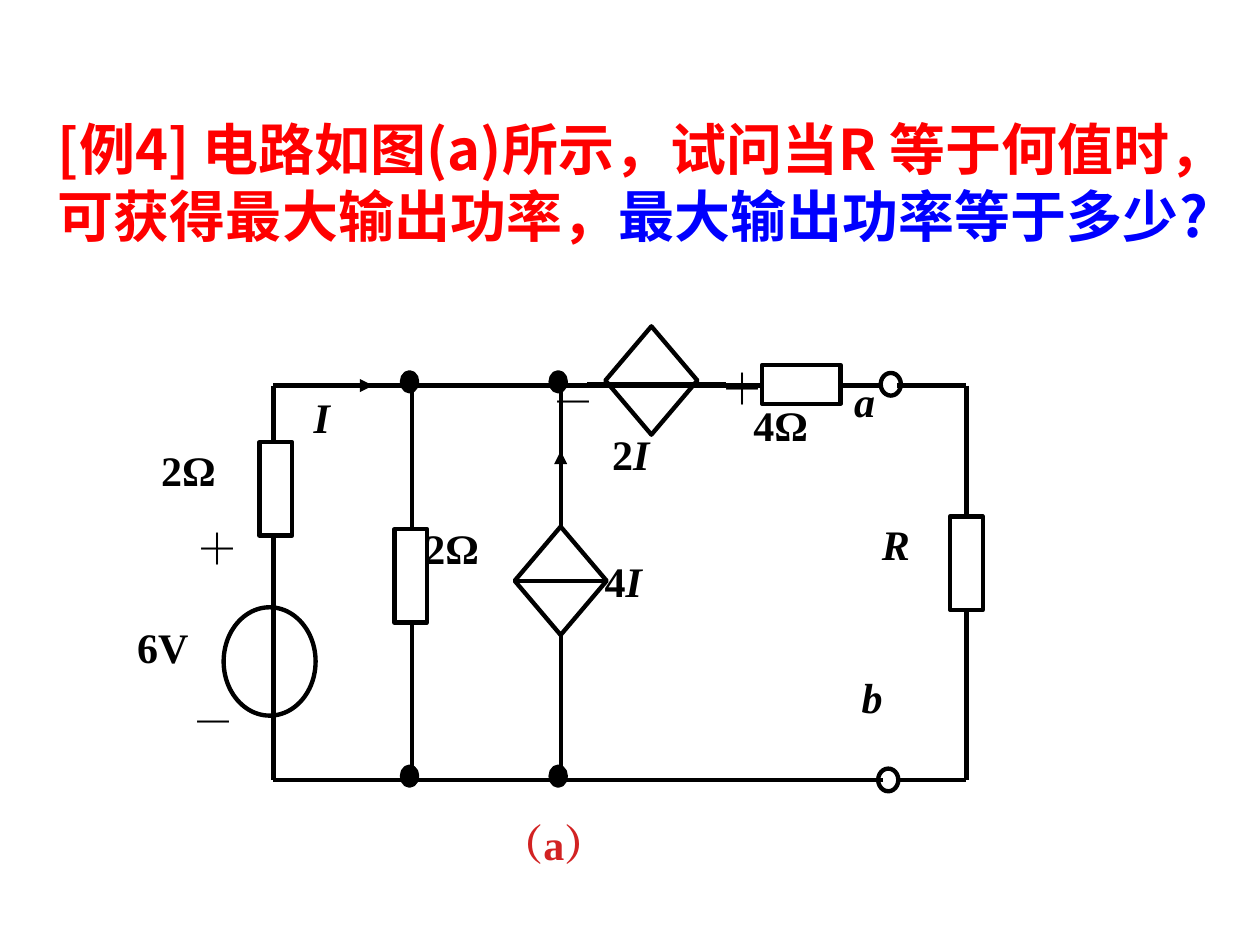
from lxml import etree
from pptx import Presentation
from pptx.dml.color import RGBColor
from pptx.enum.shapes import MSO_CONNECTOR, MSO_SHAPE
from pptx.enum.text import MSO_ANCHOR, MSO_AUTO_SIZE, PP_ALIGN
from pptx.oxml.ns import qn
from pptx.util import Inches, Pt

OVAL, RECT, DIAMOND = MSO_SHAPE.OVAL, MSO_SHAPE.RECTANGLE, MSO_SHAPE.FLOWCHART_DECISION
STRAIGHT = MSO_CONNECTOR.STRAIGHT
LEFT, JUSTIFY = PP_ALIGN.LEFT, PP_ALIGN.JUSTIFY
TOP, NO_FIT = MSO_ANCHOR.TOP, MSO_AUTO_SIZE.NONE
color = RGBColor.from_string
BLACK, WHITE, RED, BLUE, CRIMSON = "000000", "FFFFFF", "FF0000", "0000FF", "D22222"
SERIF, SANS = "Times New Roman", "Noto Sans CJK SC"

deck = Presentation()
deck.slide_width, deck.slide_height = Inches(10), Inches(7.5)
CELL = deck.slide_width // 1000
slide = deck.slides.add_slide(deck.slide_layouts[5])


def write(box, grid, runs, align, size, face):
    box.left, box.top, box.width, box.height = [n * CELL for n in grid]
    frame = box.text_frame
    for key, value in {"word_wrap": True, "auto_size": NO_FIT, "vertical_anchor": TOP}.items():
        setattr(frame, key, value)
    paragraph = frame.paragraphs[0]
    paragraph.alignment = align
    for text, ink, italic in runs:
        run = paragraph.add_run()
        run.text = text
        for key, value in {"name": face, "size": Pt(size), "bold": True, "italic": italic}.items():
            setattr(run.font, key, value)
        run.font.color.rgb = color(ink)
        etree.SubElement(run._r.get_or_add_rPr(), qn("a:ea"), typeface=face)


def wire(x1, y1, x2, y2, arrow=False):
    line = slide.shapes.add_connector(STRAIGHT, *[n * CELL for n in (x1, y1, x2, y2)])
    line.line.color.rgb = color(BLACK)
    line.line.width = Pt(2.5)
    if arrow:
        etree.SubElement(line.line._get_or_add_ln(), qn("a:tailEnd"), type="triangle")
    etree.SubElement(line._element.spPr, qn("a:effectLst"))
    return line


write(slide.shapes.title, (36, 86, 917, 170),
      [("[例4] 电路如图(a)所示，试问当R 等于何值时，可获得最大输出功率，", RED, False),
       ("最大输出功率等于多少?", BLUE, False)], LEFT, 32, SANS)

SOURCE_X, SHUNT_X, CONTROLLED_X, GAP_LEFT, GAP_RIGHT, LOAD_X = 217, 327, 445, 701, 712, 767
RAIL_TOP, RAIL_BOTTOM = 306, 619

terminals = [(OVAL, 705, 619, 16, 18, WHITE), (OVAL, 707, 305, 16, 18, WHITE)]
nodes = [(OVAL, x, y, 12, 15, BLACK) for x in (325, 443) for y in (303, 616)]
resistors = [(RECT, 219, 388, 26, 74, WHITE), (RECT, 326, 457, 26, 74, WHITE),
             (RECT, 636, 305, 62, 31, WHITE), (RECT, 767, 447, 26, 74, WHITE)]
sources = [(OVAL, 214, 525, 73, 86, None), (DIAMOND, 517, 302, 73, 86, None),
           (DIAMOND, CONTROLLED_X, 461, 73, 86, WHITE)]
wires = [(SHUNT_X, RAIL_TOP, SHUNT_X, RAIL_BOTTOM), (CONTROLLED_X, 303, CONTROLLED_X, 616),
         (SOURCE_X, RAIL_TOP, SOURCE_X, RAIL_BOTTOM), (SOURCE_X, 456, SOURCE_X, 612),
         (LOAD_X, RAIL_TOP, LOAD_X, RAIL_BOTTOM), (576, 305, 466, 305)]
for rail in (RAIL_TOP, RAIL_BOTTOM):
    wires += [(GAP_LEFT, rail, SOURCE_X, rail), (GAP_RIGHT, rail, LOAD_X, rail)]

for layer in (terminals + nodes, wires, resistors + sources):
    for part in layer:
        if layer is wires:
            wire(*part)
            continue
        preset, x, y, w, h, paint = part
        symbol = slide.shapes.add_shape(
            preset, *[int(n * CELL) for n in (x - w / 2, y - h / 2, w, h)])
        symbol.shadow.inherit = False
        symbol.line.color.rgb = color(BLACK)
        symbol.line.width = Pt(2.5)
        if paint:
            symbol.fill.solid()
            symbol.fill.fore_color.rgb = color(paint)
        else:
            symbol.fill.background()

current_source = symbol
crossbar = wire(409, 462, 482, 462)
crossbar.begin_connect(current_source, 1)
crossbar.end_connect(current_source, 3)
wire(CONTROLLED_X, 504, CONTROLLED_X, 556).begin_connect(current_source, 2)
wire(CONTROLLED_X, 419, CONTROLLED_X, 358, True).begin_connect(current_source, 0)
wire(239, RAIL_TOP, 296, RAIL_TOP, True)

labels = [
    (146, 410, 176, "＋", ""), (143, 547, 176, "－", ""),
    (429, 293, 110, "－", ""), (563, 283, 94, "＋", ""),
    (99, 488, 132, "6V", ""), (118, 348, 198, "2Ω", ""),
    (327, 410, 198, "2Ω", ""), (470, 436, 132, "4", "I"),
    (476, 335, 132, "2", "I"), (588, 312, 198, "4Ω", ""),
    (690, 407, 154, "", "R"), (668, 293, 154, "", "a"),
    (674, 528, 154, "", "b"), (239, 306, 88, "", "I"),
    (388, 645, 262, "（a）", ""),
]
for x, y, w, upright, slanted in labels:
    ink, align = (CRIMSON, LEFT) if upright == "（a）" else (BLACK, JUSTIFY)
    runs = [(text, ink, italic) for text, italic in ((upright, False), (slanted, True)) if text]
    write(slide.shapes.add_textbox(0, 0, CELL, CELL), (x, y, w, 50), runs, align, 24, SERIF)

deck.save("out.pptx")
